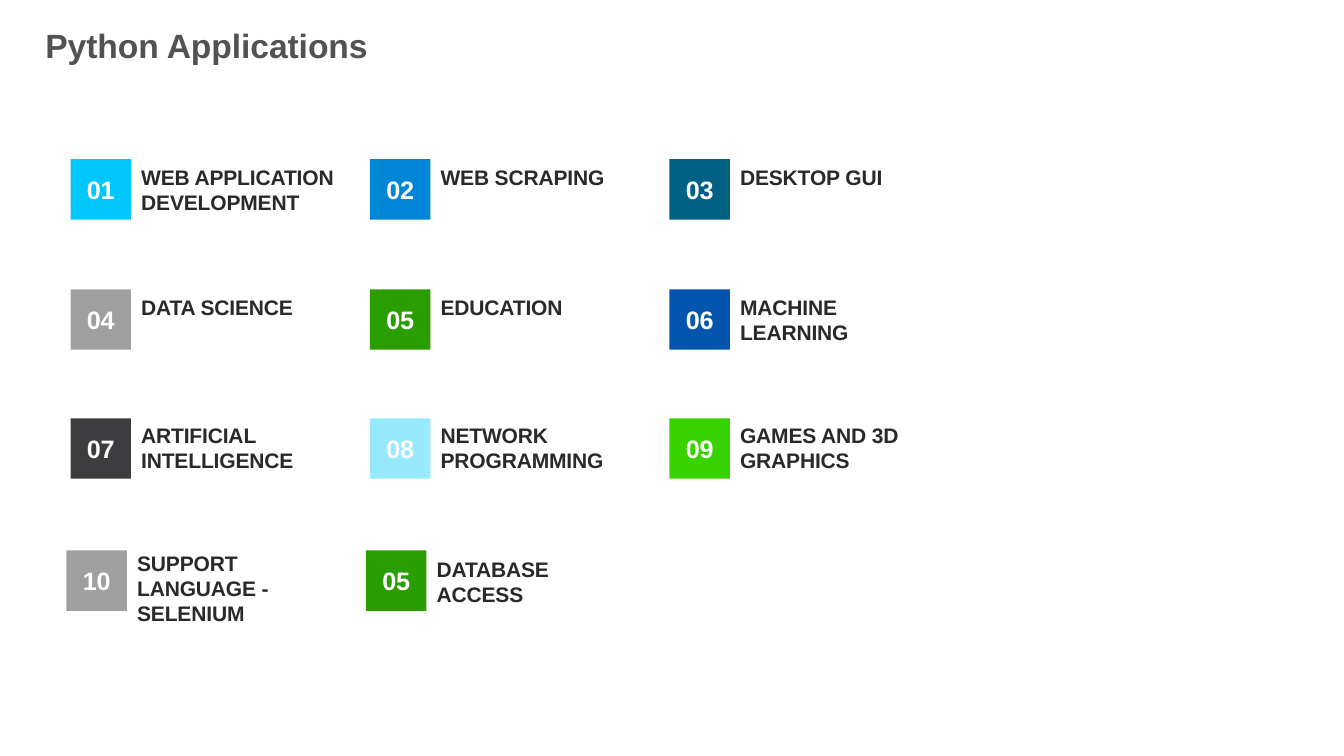
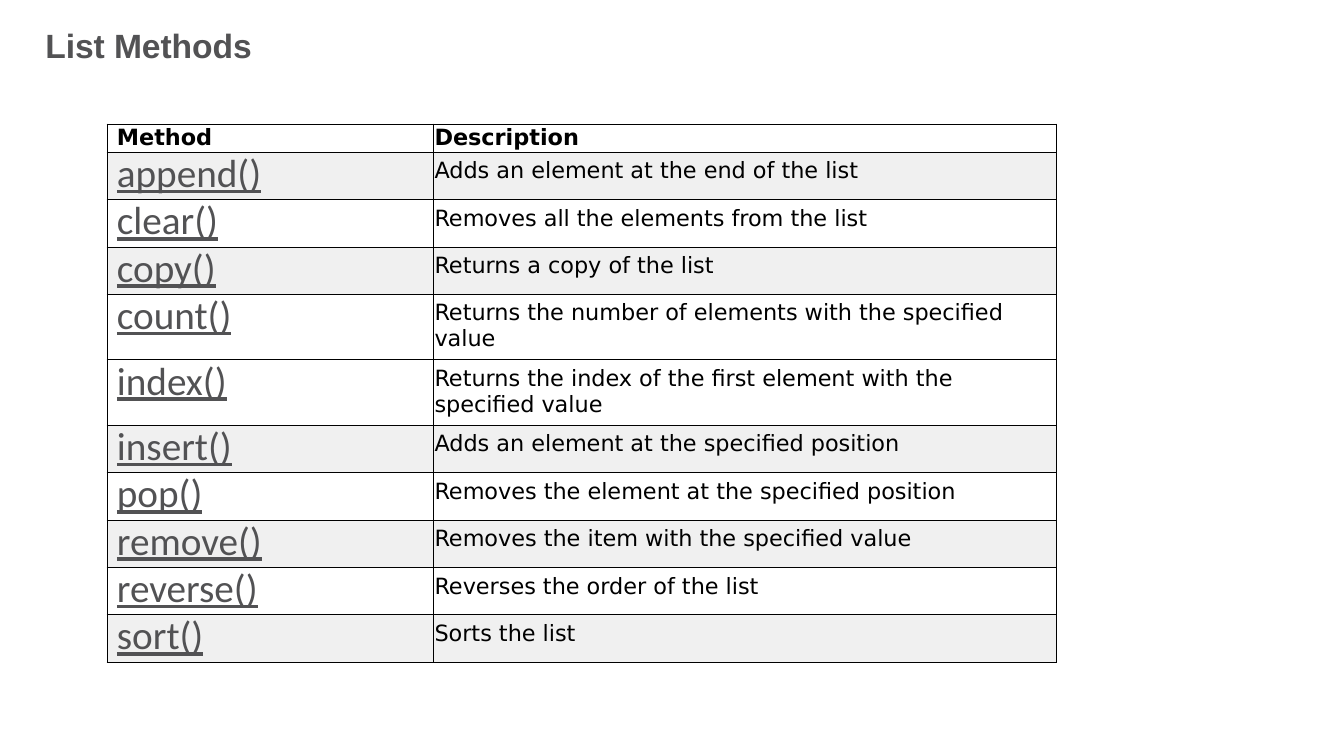
from lxml import etree
from pptx import Presentation, util as u
from pptx.dml.color import RGBColor
from pptx.enum import shapes, text
from pptx.oxml.ns import qn

TITLE_GRAY = RGBColor(0x52, 0x52, 0x54)
LABEL_GRAY = RGBColor(0x29, 0x29, 0x2A)
ROW_GRAY = RGBColor(0xF0, 0xF0, 0xF0)
SILVER = RGBColor(0x9F, 0x9F, 0x9F)
CHARCOAL = RGBColor(0x3D, 0x3D, 0x40)
CYAN = RGBColor(0x00, 0xC6, 0xFC)
PALE_CYAN = RGBColor(0x96, 0xE9, 0xFF)
BLUE = RGBColor(0x00, 0x86, 0xD6)
ROYAL_BLUE = RGBColor(0x03, 0x55, 0xAF)
TEAL = RGBColor(0x00, 0x61, 0x85)
GREEN = RGBColor(0x2A, 0x9D, 0x00)
LIME = RGBColor(0x38, 0xD2, 0x00)
WHITE = RGBColor(0xFF, 0xFF, 0xFF)
BLACK = RGBColor(0, 0, 0)

presentation = Presentation()
presentation.slide_width = u.Inches(13.33)
presentation.slide_height = u.Inches(7.5)


def write(holder, content, font, size, color, bold=False, left=0, top=0.01, space=1, spacing=0):
    frame = holder.text_frame
    frame.word_wrap = True
    box = holder if hasattr(holder, "margin_left") else frame
    box.margin_left, box.margin_top = u.Inches(left), u.Inches(top)
    box.margin_right = box.margin_bottom = 0
    box.vertical_anchor = text.MSO_ANCHOR.TOP
    paragraph = frame.paragraphs[0]
    paragraph.text = content
    paragraph.alignment = text.PP_ALIGN.LEFT
    paragraph.space_before = u.Pt(space)
    paragraph.font.name = font
    paragraph.font.size = u.Pt(size)
    paragraph.font.bold = bold
    paragraph.font.color.rgb = color
    if spacing:
        paragraph.runs[0]._r.get_or_add_rPr().set("spc", str(spacing))
    return paragraph


def add_titled_slide(heading):
    slide = presentation.slides.add_slide(presentation.slide_layouts[5])
    title = slide.shapes.title
    title.left, title.top = u.Inches(0.3), u.Inches(0.23)
    title.width, title.height = u.Inches(12.74), u.Inches(0.86)
    write(title, heading, "Arial", 24, TITLE_GRAY, bold=True, left=0.15, top=0.02, spacing=-5)
    return slide


slide = add_titled_slide("Python Applications")

FIRST_COLUMN, COLUMN_PITCH = 0.7, 2.97
BADGE_SIZE, LABEL_OFFSET = 0.6, 0.69
application_rows = [
    (1.58, 1.62, 0, 1.95, [
        ("01", CYAN, "WEB APPLICATION DEVELOPMENT"),
        ("02", BLUE, "WEB SCRAPING"),
        ("03", TEAL, "DESKTOP GUI")]),
    (2.87, 2.91, 0, 1.95, [
        ("04", SILVER, "DATA SCIENCE"),
        ("05", GREEN, "EDUCATION"),
        ("06", ROYAL_BLUE, "MACHINE LEARNING")]),
    (4.15, 4.18, 0, 1.95, [
        ("07", CHARCOAL, "ARTIFICIAL INTELLIGENCE"),
        ("08", PALE_CYAN, "NETWORK PROGRAMMING"),
        ("09", LIME, "GAMES AND 3D GRAPHICS")]),
    (5.46, 5.51, -0.04, 1.45, [
        ("10", SILVER, "SUPPORT LANGUAGE - SELENIUM"),
        ("05", GREEN, "DATABASE ACCESS")]),
]
for badge_top, label_top, shift, label_width, applications in application_rows:
    for column, (number, color, name) in enumerate(applications):
        left = FIRST_COLUMN + column * COLUMN_PITCH + shift
        badge = slide.shapes.add_shape(
            shapes.MSO_SHAPE.RECTANGLE, u.Inches(left), u.Inches(badge_top),
            u.Inches(BADGE_SIZE), u.Inches(BADGE_SIZE))
        badge.shadow.inherit = False
        badge.fill.solid()
        badge.fill.fore_color.rgb = color
        badge.line.fill.background()
        paragraph = write(badge, number, "Arial", 18, WHITE, bold=True, top=0, space=0, spacing=-20)
        paragraph.alignment = text.PP_ALIGN.CENTER
        badge.text_frame.vertical_anchor = text.MSO_ANCHOR.MIDDLE
        badge.text_frame.margin_bottom = u.Inches(0.01)

        raised = 0.06 if name.endswith("SELENIUM") else 0
        label = slide.shapes.add_textbox(
            u.Inches(left + LABEL_OFFSET), u.Inches(label_top - raised),
            u.Inches(label_width), u.Inches(0.53))
        write(label, name, "Arial", 15, LABEL_GRAY, bold=True, left=0.01, spacing=-12)

slide = add_titled_slide("List Methods")

HEADER_HEIGHT, LINE_HEIGHT, TWO_LINE_HEIGHT = 0.28, 0.47, 0.65
methods = [
    ("append()", "Adds an element at the end of the list", LINE_HEIGHT, True),
    ("clear()", "Removes all the elements from the list", LINE_HEIGHT, False),
    ("copy()", "Returns a copy of the list", LINE_HEIGHT, True),
    ("count()", "Returns the number of elements with the specified value", TWO_LINE_HEIGHT, False),
    ("index()", "Returns the index of the first element with the specified value", TWO_LINE_HEIGHT, False),
    ("insert()", "Adds an element at the specified position", LINE_HEIGHT, True),
    ("pop()", "Removes the element at the specified position", LINE_HEIGHT, False),
    ("remove()", "Removes the item with the specified value", LINE_HEIGHT, True),
    ("reverse()", "Reverses the order of the list", LINE_HEIGHT, False),
    ("sort()", "Sorts the list", LINE_HEIGHT, True),
]
table_height = HEADER_HEIGHT + sum(method[2] for method in methods)
table = slide.shapes.add_table(
    len(methods) + 1, 2, u.Inches(1.06), u.Inches(1.23),
    u.Inches(9.42), u.Inches(table_height)).table
table.first_row = table.horz_banding = False
table.columns[0].width = u.Inches(3.24)
table.columns[1].width = u.Inches(6.18)

table.rows[0].height = u.Inches(HEADER_HEIGHT)
for column, (heading, indent) in enumerate([("Method", 0.1), ("Description", 0.01)]):
    paragraph = write(table.cell(0, column), heading, "DejaVu Sans", 16, BLACK,
                      bold=True, left=indent, space=0.6)
    paragraph.line_spacing = u.Pt(18.1)

for row, (name, description, height, shaded) in enumerate(methods, start=1):
    table.rows[row].height = u.Inches(height)
    paragraph = write(table.cell(row, 0), name, "Calibri", 28, TITLE_GRAY,
                      left=0.1, top=0, space=0)
    paragraph.line_spacing = u.Pt(32.8)
    paragraph.font.underline = True
    write(table.cell(row, 1), description, "DejaVu Sans", 16, BLACK,
          left=0.01, top=0.06, space=4.1)

shaded_rows = [row for row, method in enumerate(methods, start=1) if method[3]]
for row in range(len(methods) + 1):
    for column in range(2):
        cell = table.cell(row, column)
        properties = cell._tc.get_or_add_tcPr()
        for side in ("a:lnL", "a:lnR", "a:lnT", "a:lnB"):
            border = etree.SubElement(properties, qn(side), w=str(u.Pt(0.5)))
            fill = etree.SubElement(border, qn("a:solidFill"))
            etree.SubElement(fill, qn("a:srgbClr"), val=str(BLACK))
        if row in shaded_rows:
            cell.fill.solid()
            cell.fill.fore_color.rgb = ROW_GRAY
        else:
            cell.fill.background()

presentation.save("out.pptx")
